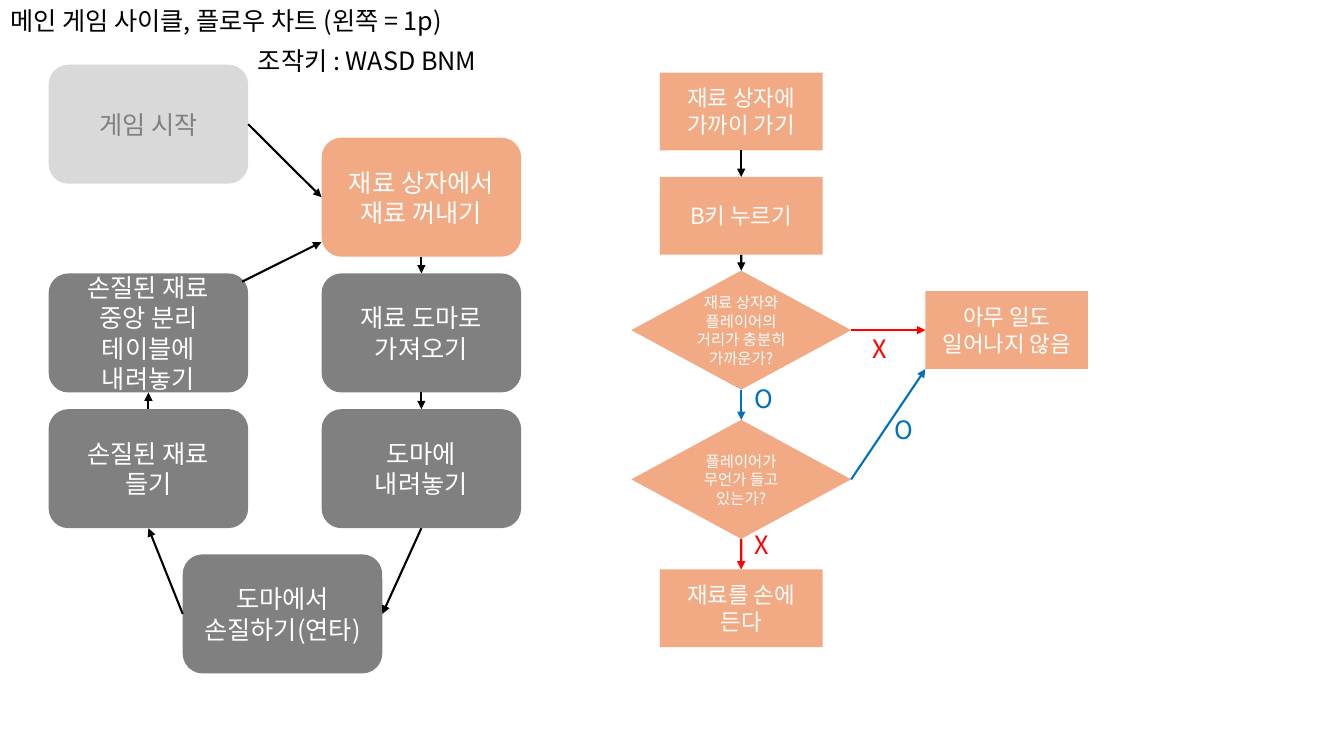
from lxml import etree
from pptx import Presentation
from pptx.dml.color import RGBColor
from pptx.enum.shapes import MSO_CONNECTOR, MSO_SHAPE
from pptx.enum.text import MSO_ANCHOR, MSO_AUTO_SIZE, PP_ALIGN
from pptx.oxml.ns import qn
from pptx.util import Cm, Pt

ROUND, RECT, DIAMOND = MSO_SHAPE.ROUNDED_RECTANGLE, MSO_SHAPE.RECTANGLE, MSO_SHAPE.DIAMOND
STRAIGHT = MSO_CONNECTOR.STRAIGHT
LEFT, CENTER = PP_ALIGN.LEFT, PP_ALIGN.CENTER
TOP, MIDDLE = MSO_ANCHOR.TOP, MSO_ANCHOR.MIDDLE
NORTH, WEST, SOUTH, EAST = range(4)

FONT = "Noto Sans CJK KR"
BLACK, WHITE, GREY, PALE = "000000", "FFFFFF", "808080", "D9D9D9"
ORANGE, RED, BLUE = "F2AA84", "FF0000", "0070C0"

# Content
TITLE = "메인 게임 사이클, 플로우 차트 (왼쪽 = 1p)"
CONTROLS = "조작키 : WASD BNM"

# Kinds of step: shape, width, height, text size
KINDS = {
    "stage": (ROUND, 5.03, 3, 18),
    "action": (RECT, 4.1, 1.96, 16),
    "question": (DIAMOND, 5.54, 3, 11),
}

# Column centres and cycle rows, in cm
START_X, CYCLE_X, CHOP_X, FLOW_X, NOTHING_X = 3.74, 10.62, 7.12, 18.68, 25.37
ROWS = [3.47 + 3.42 * row for row in range(3)]

# key: kind, centre x, top, fill, text colour, lines
STEPS = {
    "start": ("stage", START_X, 1.63, PALE, GREY, ["게임 시작"]),
    "take": ("stage", CYCLE_X, ROWS[0], ORANGE, WHITE, ["재료 상자에서", "재료 꺼내기"]),
    "bring": ("stage", CYCLE_X, ROWS[1], GREY, WHITE, ["재료 도마로 가져오기"]),
    "place": ("stage", CYCLE_X, ROWS[2], GREY, WHITE, ["도마에", "내려놓기"]),
    "chop": ("stage", CHOP_X, 13.97, GREY, WHITE, ["도마에서", "손질하기(연타)"]),
    "lift": ("stage", START_X, ROWS[2], GREY, WHITE, ["손질된 재료", "들기"]),
    "table": ("stage", START_X, ROWS[1], GREY, WHITE,
              ["손질된 재료 중앙 분리", "테이블에", "내려놓기"]),
    "approach": ("action", FLOW_X, 1.83, ORANGE, WHITE, ["재료 상자에 가까이 가기"]),
    "press": ("action", FLOW_X, 4.46, ORANGE, WHITE, ["B키 누르기"]),
    "near": ("question", FLOW_X, 6.82, ORANGE, WHITE,
             ["재료 상자와", "플레이어의", "거리가 충분히 가까운가?"]),
    "holding": ("question", FLOW_X, 10.58, ORANGE, WHITE,
                ["플레이어가", "무언가 들고", "있는가?"]),
    "hold": ("action", FLOW_X, 14.35, ORANGE, WHITE, ["재료를 손에 든다"]),
    "nothing": ("action", NOTHING_X, 7.34, ORANGE, WHITE, ["아무 일도", "일어나지 않음"]),
}

# Each end is (step, side) or a free (x, y) point in cm
ARROWS = [
    (("start", EAST), ("take", WEST), BLACK),
    (("take", SOUTH), ("bring", NORTH), BLACK),
    (("bring", SOUTH), ("place", NORTH), BLACK),
    (("place", SOUTH), ("chop", EAST), BLACK),
    (("chop", WEST), ("lift", SOUTH), BLACK),
    (("lift", NORTH), ("table", SOUTH), BLACK),
    ((6.1, 7.1), (8.1, 6.1), BLACK),
    (("approach", SOUTH), ("press", NORTH), BLACK),
    (("press", SOUTH), ("near", NORTH), BLACK),
    (("near", EAST), ("nothing", WEST), RED),
    (("near", SOUTH), ("holding", NORTH), BLUE),
    (("holding", EAST), (23.32, 9.3), BLUE),
    (("holding", SOUTH), ("hold", NORTH), RED),
]

# text, left, top, colour
ANSWERS = [
    ("O", 22.3, 10.31, BLUE),
    ("X", 21.74, 8.28, RED),
    ("O", 18.77, 9.53, BLUE),
    ("X", 18.77, 13.21, RED),
]


def rgb(value):
    return RGBColor.from_string(value)


def write(shape, lines, size=18, color=BLACK, align=LEFT, anchor=TOP):
    frame = shape.text_frame
    frame.word_wrap = True
    frame.auto_size = MSO_AUTO_SIZE.NONE
    frame.vertical_anchor = anchor
    for number, line in enumerate(lines):
        paragraph = frame.add_paragraph() if number else frame.paragraphs[0]
        paragraph.alignment = align
        run = paragraph.add_run()
        run.text = line
        run.font.size = Pt(size)
        run.font.color.rgb = rgb(color)
        run.font.name = FONT
        etree.SubElement(run.font._element, qn("a:ea"), typeface=FONT)


def add_step(kind, center, top, fill, color, lines):
    preset, width, height, size = KINDS[kind]
    step = slide.shapes.add_shape(
        preset, Cm(center - width / 2), Cm(top), Cm(width), Cm(height))
    step.shadow.inherit = False
    step.fill.solid()
    step.fill.fore_color.rgb = rgb(fill)
    step.line.fill.background()
    write(step, lines, size=size, color=color, align=CENTER, anchor=MIDDLE)
    return step


def add_label(text, left, top, width, color=BLACK):
    label = slide.shapes.add_textbox(Cm(left), Cm(top), Cm(width), Cm(1.03))
    write(label, [text], color=color)


def add_arrow(start, end, color):
    # Free ends are placed here; joined ends move to their step's side
    points = [Cm(0) if point[0] in steps else Cm(value)
              for point in (start, end) for value in point]
    arrow = slide.shapes.add_connector(STRAIGHT, *points)
    if start[0] in steps:
        arrow.begin_connect(steps[start[0]], start[1])
    if end[0] in steps:
        arrow.end_connect(steps[end[0]], end[1])
    arrow.line.color.rgb = rgb(color)
    arrow.line.width = Pt(1.5)
    etree.SubElement(arrow.line._get_or_add_ln(), qn("a:tailEnd"), type="triangle")
    etree.SubElement(arrow._element.spPr, qn("a:effectLst"))


prs = Presentation()
prs.slide_width, prs.slide_height = Cm(33.87), Cm(19.05)
slide = prs.slides.add_slide(prs.slide_layouts[5])

# Heading
title = slide.shapes.title
title.left, title.top, title.width, title.height = Cm(0), Cm(0), Cm(12.6), Cm(1.03)
write(title, [TITLE])
add_label(CONTROLS, 6.25, 1.03, 6.9)

# Game cycle and key-press flow
steps = {key: add_step(*step) for key, step in STEPS.items()}
for arrow_ends in ARROWS:
    add_arrow(*arrow_ends)
for answer, left, top, color in ANSWERS:
    add_label(answer, left, top, 1.27, color)

prs.save("out.pptx")
